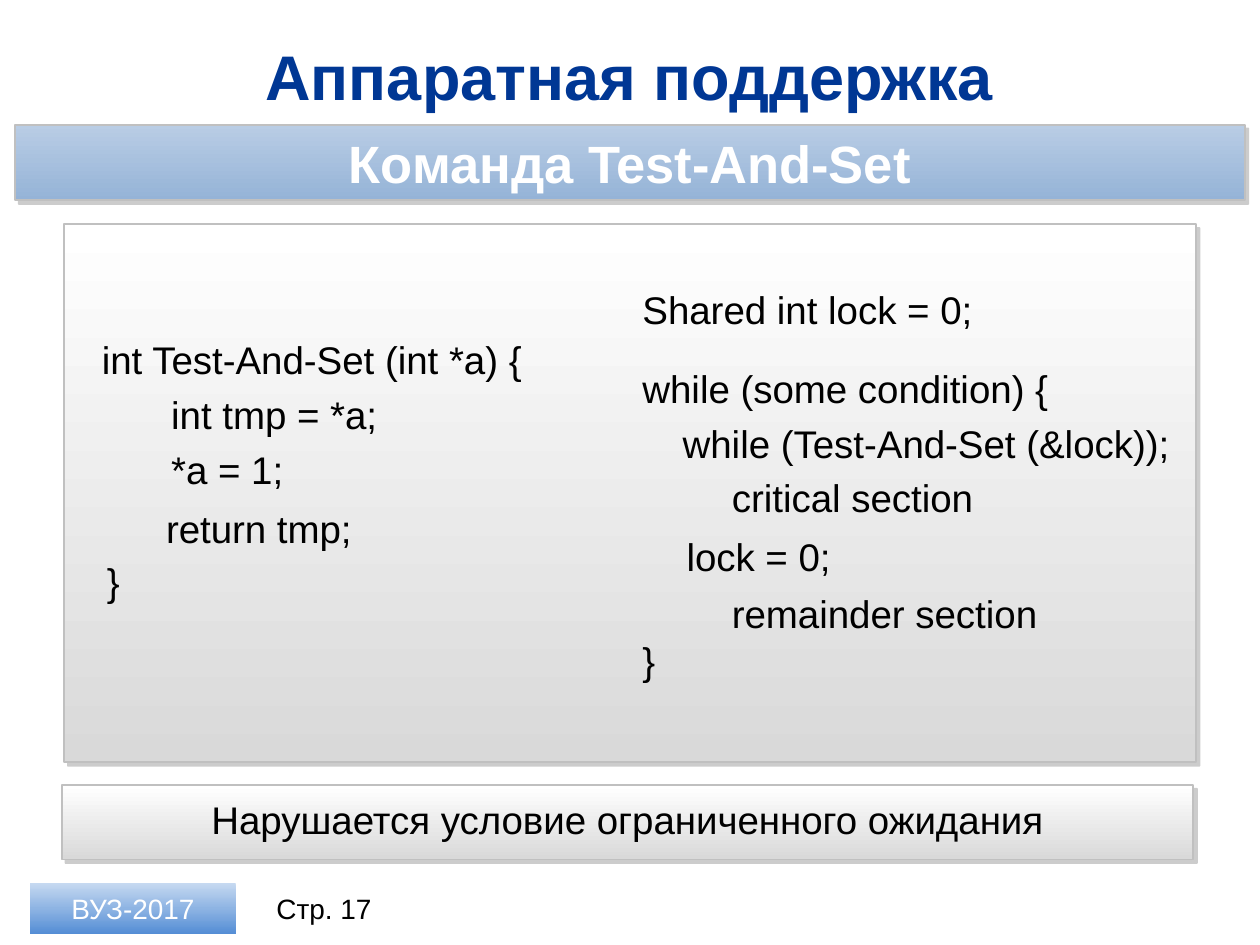
from dataclasses import dataclass

from lxml.etree import SubElement
from pptx import Presentation
from pptx.dml.color import RGBColor
from pptx.enum.shapes import MSO_SHAPE
from pptx.enum.text import MSO_ANCHOR, PP_ALIGN
from pptx.oxml.ns import qn
from pptx.shapes.autoshape import Shape
from pptx.slide import Slide
from pptx.util import Pt

FONT = "Arial"
WHITE = RGBColor(0xFF, 0xFF, 0xFF)
BLACK = RGBColor(0, 0, 0)
TITLE_BLUE = RGBColor(0x00, 0x37, 0x94)
BORDER_GRAY = RGBColor(0xC0, 0xC0, 0xC0)
SHADOW_GRAY = RGBColor(0x80, 0x80, 0x80)
# Gradient colours run from top to bottom
PANEL_GRADIENT = (WHITE, RGBColor(0xD9, 0xD9, 0xD9))
BANNER_GRADIENT = (RGBColor(0xB9, 0xCD, 0xE5), RGBColor(0x95, 0xB3, 0xD7))
BADGE_GRADIENT = (RGBColor(0xC6, 0xD9, 0xF1), RGBColor(0x8E, 0xB4, 0xE3),
                  RGBColor(0x55, 0x8E, 0xD5))


@dataclass(frozen=True)
class Box:
    left: float
    top: float
    width: float
    height: float


@dataclass(frozen=True)
class TextStyle:
    size: float = 22
    color: RGBColor = BLACK
    bold: bool = False
    alignment: PP_ALIGN = PP_ALIGN.LEFT
    anchor: MSO_ANCHOR = MSO_ANCHOR.TOP


@dataclass(frozen=True)
class CodeLine:
    text: str
    left: float
    top: float
    width: float = 290


CODE_STYLE = TextStyle()
CODE_HEIGHT = 33.6
CODE_LINES = (
    # Function definition
    CodeLine("int Test-And-Set (int *a) {", 51.1, 188.6),
    CodeLine("int tmp = *a;", 90.7, 220),
    CodeLine("*a = 1;", 90.7, 251.3),
    CodeLine("return tmp;", 87.8, 285),
    CodeLine("}", 54, 315.4),
    # Use of the lock
    CodeLine("Shared int lock = 0;", 360, 159.8),
    CodeLine("while (some condition) {", 360, 205.2),
    CodeLine("while (Test-And-Set (&lock));", 383, 236.2, 323.3),
    CodeLine("critical section", 411.1, 267.1),
    CodeLine("lock = 0;", 385.2, 301),
    CodeLine("remainder section", 411.1, 333.4),
    CodeLine("}", 360, 360.7),
)


def write_text(shape: Shape, text: str, style: TextStyle) -> None:
    frame = shape.text_frame
    frame.word_wrap = True
    frame.vertical_anchor = style.anchor
    paragraph = frame.paragraphs[0]
    paragraph.alignment = style.alignment
    run = paragraph.add_run()
    run.text = text
    run.font.name = FONT
    run.font.size = Pt(style.size)
    run.font.bold = style.bold
    run.font.color.rgb = style.color


def add_text(slide: Slide, box: Box, text: str, style: TextStyle) -> None:
    shape = slide.shapes.add_textbox(
        Pt(box.left), Pt(box.top), Pt(box.width), Pt(box.height))
    write_text(shape, text, style)


def fill_gradient(shape: Shape, colors: tuple[RGBColor, ...]) -> None:
    shape.fill.gradient()
    shape.fill.gradient_angle = 270
    stops = shape.element.spPr.find(qn("a:gradFill")).find(qn("a:gsLst"))
    for stop in list(stops):
        stops.remove(stop)
    for index, color in enumerate(colors):
        position = 100000 * index // (len(colors) - 1)
        stop = SubElement(stops, qn("a:gs"), pos=str(position))
        SubElement(stop, qn("a:srgbClr"), val=str(color))


def add_drop_shadow(shape: Shape) -> None:
    effects = shape.element.spPr.find(qn("a:effectLst"))
    shadow = SubElement(effects, qn("a:outerShdw"), blurRad="0", dist=str(Pt(3)),
                        dir="2700000", algn="tl", rotWithShape="0")
    color = SubElement(shadow, qn("a:srgbClr"), val=str(SHADOW_GRAY))
    SubElement(color, qn("a:alpha"), val="40000")


def add_panel(slide: Slide, box: Box, colors: tuple[RGBColor, ...],
              raised: bool = True) -> Shape:
    shape = slide.shapes.add_shape(
        MSO_SHAPE.RECTANGLE,
        Pt(box.left), Pt(box.top), Pt(box.width), Pt(box.height))
    shape.shadow.inherit = False
    fill_gradient(shape, colors)
    if raised:
        shape.line.color.rgb = BORDER_GRAY
        shape.line.width = Pt(1)
        add_drop_shadow(shape)
    else:
        shape.line.fill.background()
    return shape


def main() -> None:
    presentation = Presentation()
    presentation.slide_width = Pt(720)
    presentation.slide_height = Pt(540)
    slide = presentation.slides.add_slide(presentation.slide_layouts[6])
    center, middle = PP_ALIGN.CENTER, MSO_ANCHOR.MIDDLE

    # Title and banner
    add_text(slide, Box(25.2, 18.7, 668.9, 49), "Аппаратная поддержка",
             TextStyle(36, TITLE_BLUE, True, center, middle))
    banner = add_panel(slide, Box(8.6, 71.3, 702.7, 43.2), BANNER_GRADIENT)
    write_text(banner, "Команда Test-And-Set",
               TextStyle(30, WHITE, True, center, middle))

    # Code panel
    add_panel(slide, Box(36.7, 128.2, 646.6, 307.4), PANEL_GRADIENT)
    for line in CODE_LINES:
        add_text(slide, Box(line.left, line.top, line.width, CODE_HEIGHT),
                 line.text, CODE_STYLE)

    # Conclusion
    add_panel(slide, Box(35.3, 448.6, 646.6, 42.5), PANEL_GRADIENT)
    add_text(slide, Box(45.4, 451.4, 626.4, CODE_HEIGHT),
             "Нарушается условие ограниченного ожидания",
             TextStyle(alignment=center))

    # Footer
    badge = add_panel(slide, Box(17.3, 504.7, 117.4, 28.8), BADGE_GRADIENT, False)
    write_text(badge, "ВУЗ-2017", TextStyle(16, WHITE, False, center, middle))
    add_text(slide, Box(146.2, 504.7, 77.8, 28.8), "Стр. 17",
             TextStyle(16, BLACK, False, center, middle))

    presentation.save("out.pptx")


if __name__ == "__main__":
    main()
